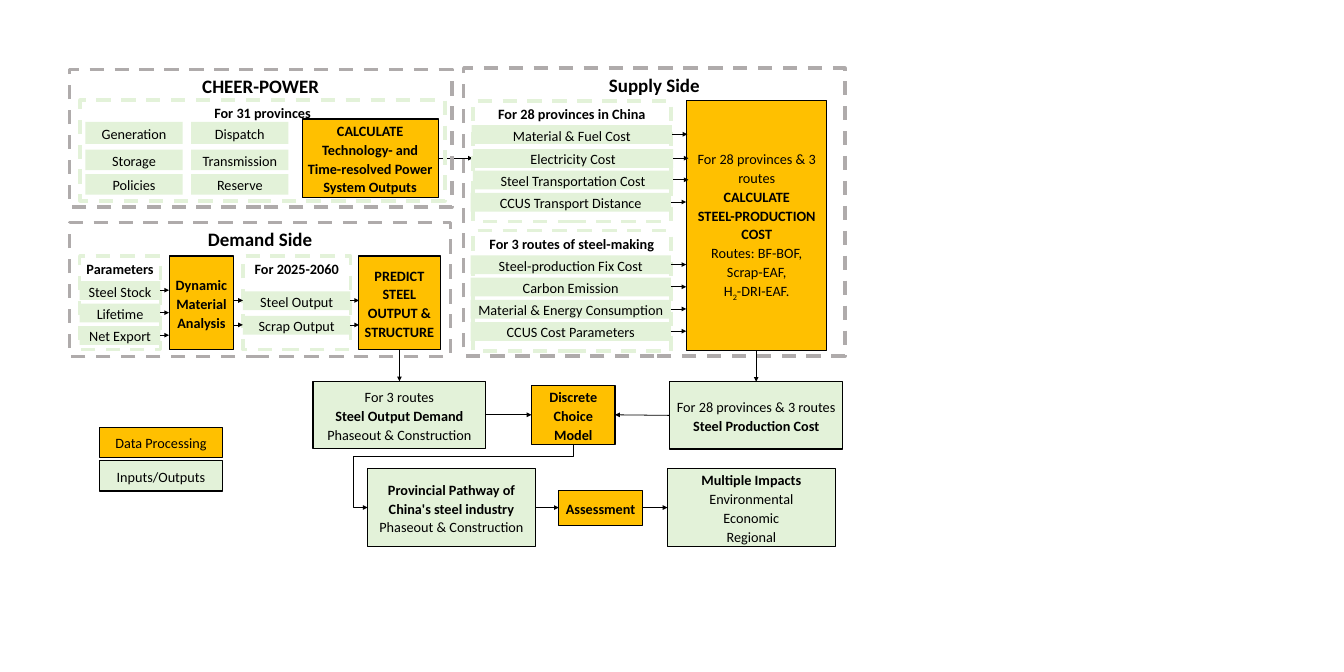
import pptx
import pptx.util
import pptx.dml.color
import pptx.enum.dml
import pptx.enum.shapes
import pptx.enum.text
import pptx.oxml.ns
import lxml.etree

Inches = pptx.util.Inches
Pt = pptx.util.Pt
qn = pptx.oxml.ns.qn
Kind = pptx.enum.shapes.MSO_CONNECTOR
Anchor = pptx.enum.text.MSO_ANCHOR
hues = {"gold": "FFC000", "green": "E3F2D9", "gray": "AFABAB", "black": "000000"}

deck = pptx.Presentation()
deck.slide_width = Inches(23.62)
deck.slide_height = Inches(11.81)
slide = deck.slides.add_slide(deck.slide_layouts[6])


def color(name):
    return pptx.dml.color.RGBColor.from_string(hues[name])


def box(text, at, fill=None, line=None, size=18, bold=False):
    shape = slide.shapes.add_shape(
        pptx.enum.shapes.MSO_SHAPE.RECTANGLE, *map(Inches, at))
    shape.shadow.inherit = False
    if fill:
        shape.fill.solid()
        shape.fill.fore_color.rgb = color(fill)
    else:
        shape.fill.background()
    if line:
        shape.line.color.rgb = color(line)
        shape.line.width = Pt(1.5 if fill else 4.5)
        if not fill:
            shape.line.dash_style = pptx.enum.dml.MSO_LINE.DASH
    else:
        shape.line.fill.background()
    frame = shape.text_frame
    frame.word_wrap = True
    frame.margin_left = frame.margin_right = Inches(0.09)
    frame.vertical_anchor = Anchor.MIDDLE if fill else Anchor.TOP
    for n, row in enumerate(text.split("\n")):
        para = frame.paragraphs[0] if n == 0 else frame.add_paragraph()
        para.alignment = pptx.enum.text.PP_ALIGN.CENTER
        para.line_spacing = 1.1
        for k, part in enumerate(row.lstrip("*").split("~")):
            run = para.add_run()
            run.text = part
            run.font.name = "Calibri"
            run.font.size = Pt(size)
            run.font.bold = bold or row.startswith("*")
            run.font.color.rgb = color("black")
            if k % 2:
                run.font._element.set("baseline", "-25000")


def arrow(x1, y1, x2, y2, kind=Kind.STRAIGHT):
    link = slide.shapes.add_connector(kind, *map(Inches, (x1, y1, x2, y2)))
    link.line.color.rgb = color("black")
    link.line.width = Pt(1)
    lxml.etree.SubElement(link.line._get_or_add_ln(), qn("a:tailEnd"), type="triangle")
    lxml.etree.SubElement(link._element.spPr, qn("a:effectLst"))
    return link


box("Data Processing", (1.75, 7.51, 2.16, 0.53), fill="gold", line="black")
box("Inputs/Outputs", (1.75, 8.1, 2.16, 0.53), fill="green", line="black")

arrow(7.71, 2.78, 8.31, 2.78)
for title, at in (
    ("CHEER-POWER", (1.22, 1.22, 6.72, 2.42)),
    ("Demand Side", (1.22, 3.91, 6.7, 2.36)),
    ("Supply Side", (8.15, 1.2, 6.7, 5.06)),
):
    box(title, at, line="gray", size=24, bold=True)
for title, at in (
    ("For 31 provinces", (1.41, 1.76, 6.41, 1.77)),
    ("Parameters", (1.4, 4.5, 1.42, 1.64)),
    ("For 2025-2060", (4.27, 4.5, 1.89, 1.64)),
    ("For 28 provinces in China", (8.31, 1.77, 3.48, 2.12)),
    ("For 3 routes of steel-making", (8.31, 4.05, 3.48, 2.12)),
):
    box(title, at, line="green", bold=True)

grid = (
    (2.14, 0.39, "Generation", "Dispatch"),
    (2.63, 0.36, "Storage", "Transmission"),
    (3.06, 0.36, "Policies", "Reserve"),
)
for y, h, *names in grid:
    for n, name in enumerate(names):
        box(name, (1.5 + 1.86 * n, y, 1.71, h), fill="green")

steps = (
    ("*CALCULATE\n*Technology- and Time-resolved Power System Outputs",
     (5.31, 2.09, 2.39, 1.38), "gold"),
    ("*Dynamic Material Analysis", (2.98, 4.5, 1.12, 1.64), "gold"),
    ("*PREDICT\n*STEEL\n*OUTPUT &\n*STRUCTURE", (6.3, 4.5, 1.44, 1.64), "gold"),
    ("For 28 provinces & 3 routes\n*CALCULATE\n*STEEL-PRODUCTION\n*COST\n"
     "Routes: BF-BOF, Scrap-EAF,\nH~2~-DRI-EAF.", (12.07, 1.76, 2.46, 4.4), "gold"),
    ("For 3 routes\n*Steel Output Demand\nPhaseout & Construction",
     (5.5, 6.7, 3.04, 1.18), "green"),
    ("*Discrete Choice Model", (9.34, 6.78, 1.47, 1.03), "gold"),
    ("For 28 provinces & 3 routes\n*Steel Production Cost",
     (11.77, 6.71, 3.04, 1.18), "green"),
    ("*Provincial Pathway of\n*China's steel industry\nPhaseout & Construction",
     (6.46, 8.23, 2.95, 1.38), "green"),
    ("*Assessment", (9.82, 8.62, 1.47, 0.61), "gold"),
    ("*Multiple Impacts\nEnvironmental\nEconomic\nRegional",
     (11.73, 8.23, 2.95, 1.38), "green"),
)
for text, at, fill in steps:
    box(text, at, fill=fill, line="black")

for n, name in enumerate(("Steel Stock", "Lifetime", "Net Export")):
    y = 4.94 + 0.395 * n
    box(name, (1.4, y, 1.42, 0.33), fill="green")
    arrow(2.81, y + 0.16, 2.97, y + 0.16)

for y, name in ((5.12, "Steel Output"), (5.55, "Scrap Output")):
    box(name, (4.27, y, 1.89, 0.33), fill="green")
    for x in (4.11, 6.15):
        arrow(x, y + 0.16, x + 0.16, y + 0.16)

costs = [
    (8.29, 2.2, "Material & Fuel Cost"),
    (8.31, 2.62, "Electricity Cost"),
    (8.31, 3, "Steel Transportation Cost"),
    (8.27, 3.39, "CCUS Transport Distance"),
]
routes = ("Steel-production Fix Cost", "Carbon Emission",
          "Material & Energy Consumption", "CCUS Cost Parameters")
costs += [(8.27, 4.49 + 0.39 * n, name) for n, name in enumerate(routes)]
for x, y, name in costs:
    box(name, (x, y, 3.52, 0.33), fill="green")
    arrow(x + 3.52, y + 0.16, x + 3.79, y + 0.16)

for ends in (
    (7.02, 6.15, 7.02, 6.7),
    (13.29, 6.16, 13.29, 6.71),
    (8.54, 7.29, 9.34, 7.29),
    (11.77, 7.3, 10.81, 7.29),
    (9.41, 8.92, 9.82, 8.92),
    (11.29, 8.92, 11.73, 8.92),
):
    arrow(*ends)

bend = arrow(7.71, 6.56, 8.82, 10.17, kind=Kind.ELBOW)._element.spPr
bend.find(qn("a:xfrm")).set("rot", "5400000")
shape = bend.find(qn("a:prstGeom"))
shape.set("prst", "bentConnector4")
guides = shape.find(qn("a:avLst"))
for name, value in (("adj1", 18900), ("adj2", 106900)):
    lxml.etree.SubElement(guides, qn("a:gd"), name=name, fmla=f"val {value}")

deck.save("out.pptx")
